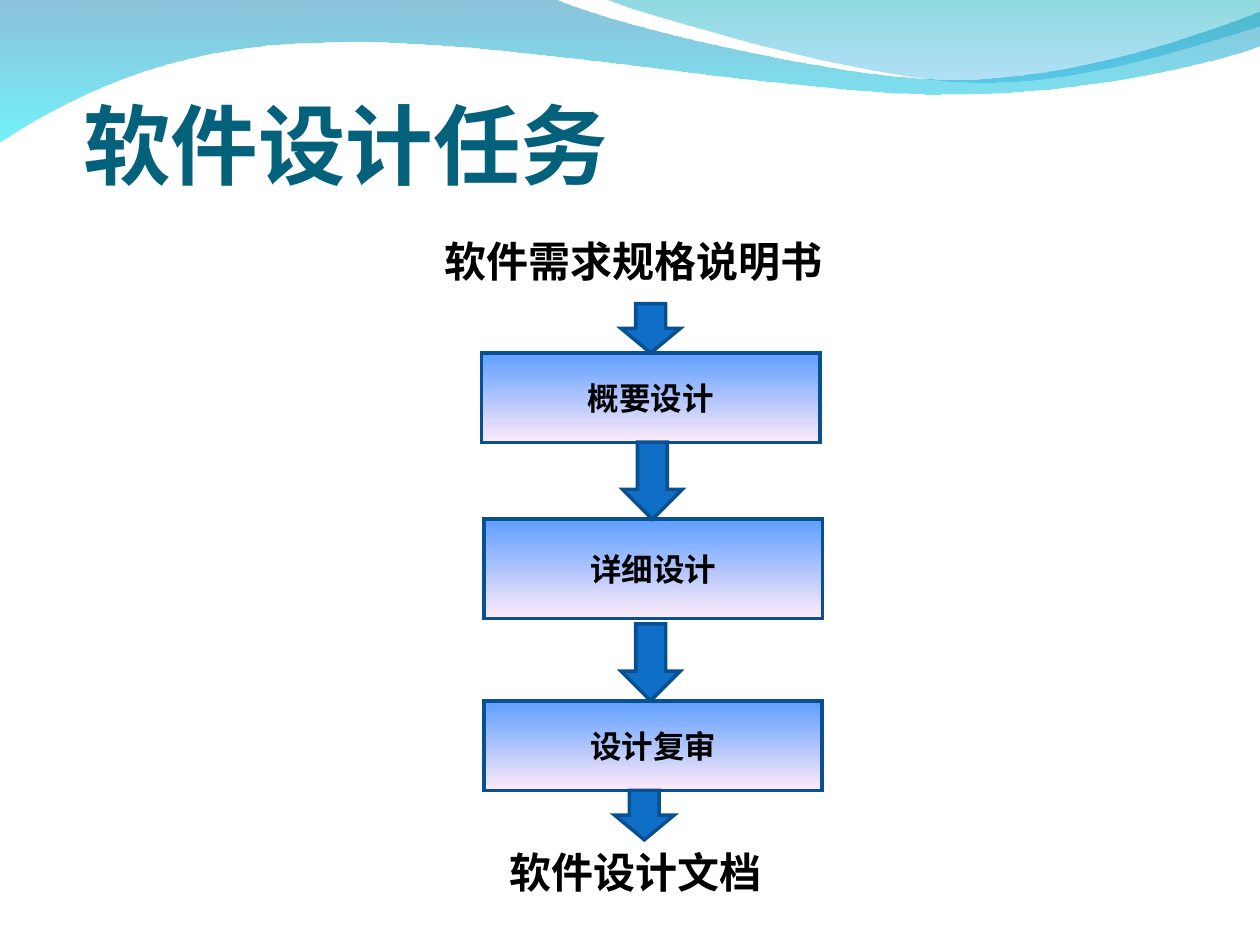
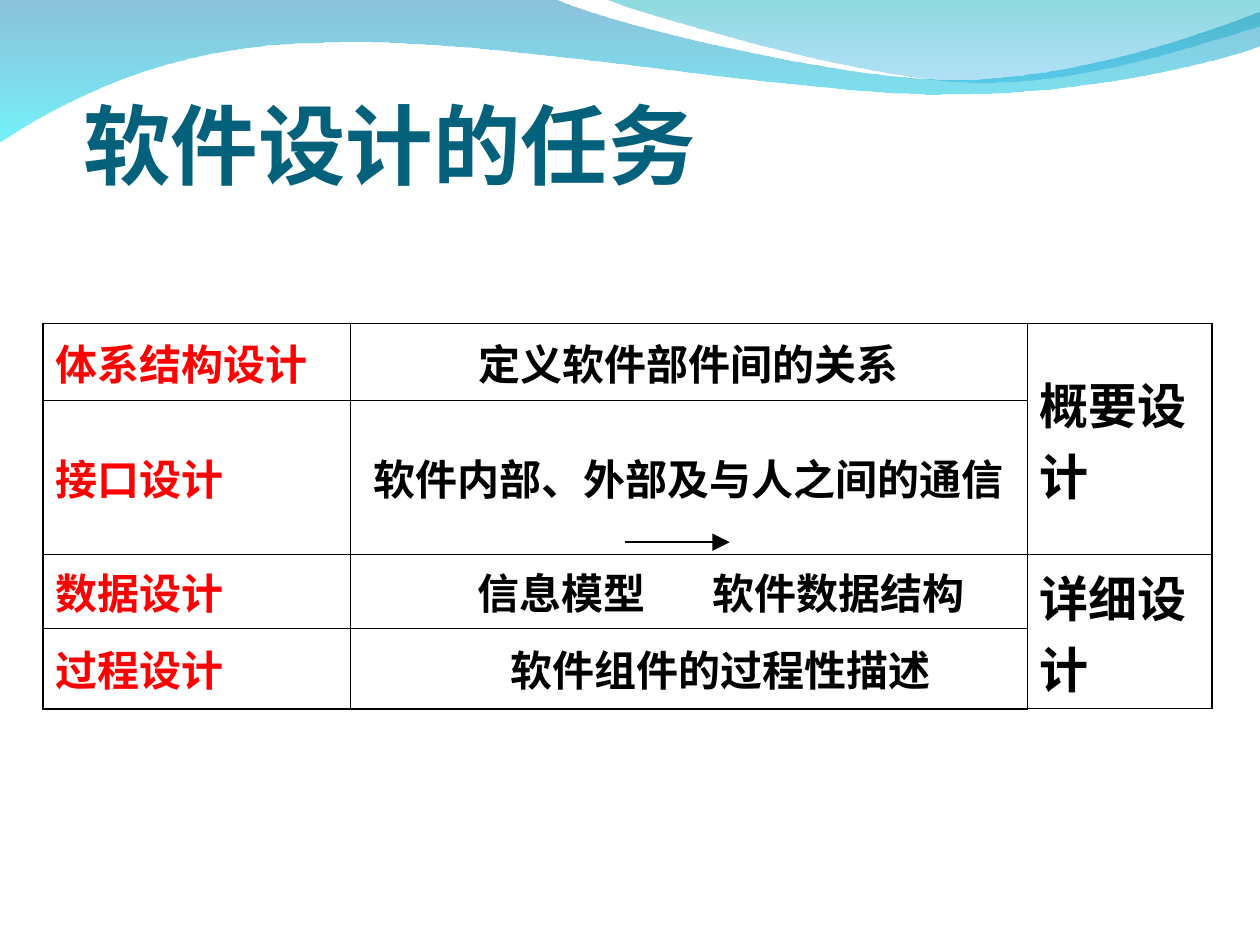
"""Builds two slides on the tasks of software design: a flow chart and a table."""
from lxml.etree import SubElement
from pptx import Presentation
from pptx.dml.color import RGBColor
from pptx.enum.shapes import MSO_CONNECTOR, MSO_SHAPE
from pptx.enum.text import MSO_ANCHOR, MSO_AUTO_SIZE, PP_ALIGN
from pptx.oxml.ns import qn
from pptx.util import Pt

SANS = "Noto Sans CJK SC"
BLACK, RED, TEAL = "000000", "FF0000", "04617B"
ARROW_BLUE, LINE_BLUE = "0F6FC6", "085091"
BOX_STOPS = [("5E9EFF", 100), ("FFEBFA", 100)]

SLIDE_WIDTH, SLIDE_HEIGHT = 720, 540
TITLE_BOX = (40.3, 25.9, 671.8, 90)

# One point draws a line, three points draw a Bézier curve.
BANDS = [
    {
        "start": (0, -0.7),
        "segments": [
            [(316.8, -0.7)],
            [(342.7, 12.2), (478.1, 45.4), (545.8, 45.4)],
            [(614.2, 45.4), (689.8, 18.7), (720, 6.5)],
            [(720.7, 25.9)],
            [(707.8, 31.7), (626.4, 54.7), (537.1, 54)],
            [(447.8, 54), (275, 20.2), (185, 24.5)],
            [(92.9, 25.2), (33.1, 59.8), (-0.7, 81.4)],
        ],
        "stops": [("0079AF", 45), ("00EBF8", 55)],
    },
    {
        "start": (344.9, -0.7),
        "segments": [
            [(366.5, 7.9), (491, 44.6), (553.7, 46.8)],
            [(616.3, 49.7), (691.9, 23), (720, 15.1)],
            [(720, 0)],
        ],
        "stops": [("00ADB6", 45), ("009BE5", 30)],
    },
]

FLOW_TITLE = "软件设计任务"
BOX_WIDTH, ARROW_WIDTH = 193.3, 34
STEPS = [
    {"text": "概要设计", "left": 275.2, "top": 201.7, "height": 51.2, "arrow": (354.8, 28.2)},
    {"text": "详细设计", "left": 276.6, "top": 296.7, "height": 56.9, "arrow": (355.8, 44)},
    {"text": "设计复审", "left": 276.5, "top": 400.5, "height": 51.2, "arrow": (354.8, 44)},
]
LAST_ARROW = (351.2, 28.2)
DOCUMENTS = [
    ("软件需求规格说明书", (247, 131, 250, 36)),
    ("软件设计文档", (284.2, 480.2, 168.5, 36)),
]

TABLE_TITLE = "软件设计的任务"
TABLE_LEFT, TABLE_TOP = 24.7, 184.8
COLUMN_WIDTHS = [175.6, 386.8, 105.6]
ROW_HEIGHTS = [44, 88, 42, 45.8]
TASKS = [
    ("体系结构设计", "定义软件部件间的关系", {}),
    ("接口设计", "软件内部、外部及与人之间的通信", {}),
    ("数据设计", "\t信息模型\t软件数据结构", {"align": PP_ALIGN.LEFT, "tabs": (65.3, 199.5)}),
    ("过程设计", "软件组件的过程性描述", {"margin_left": 43.2}),
]
PHASES = [("概要设计", 0, 1), ("详细设计", 2, 3)]
MODEL_ARROW = (357, 309.8, 417, 309.8)


def color(hex_string):
    return RGBColor.from_string(hex_string)


def points(*lengths):
    return [Pt(length) for length in lengths]


def put_text(frame, text, size=24, font=SANS, ink=BLACK, align=PP_ALIGN.LEFT,
             anchor=MSO_ANCHOR.TOP, line_spacing=None, tabs=()):
    frame.word_wrap = True
    frame.vertical_anchor = anchor
    paragraph = frame.paragraphs[0]
    paragraph.alignment = align
    paragraph.line_spacing = line_spacing
    if tabs:
        tab_list = SubElement(paragraph._p.get_or_add_pPr(), qn("a:tabLst"))
        for position in tabs:
            SubElement(tab_list, qn("a:tab"), pos=str(Pt(position)), algn="l")
    run = paragraph.add_run()
    run.text = text
    run.font.name, run.font.size, run.font.bold = font, Pt(size), True
    run.font.color.rgb = color(ink)
    SubElement(run.font._element, qn("a:ea"), typeface=SANS)


def fill_gradient(shape, stops):
    shape.fill.gradient()
    shape.fill.gradient_angle = 270
    for stop, (hex_string, _) in zip(shape.fill.gradient_stops, stops):
        stop.color.rgb = color(hex_string)
    for element, (_, opacity) in zip(shape.element.iter(qn("a:gs")), stops):
        if opacity < 100:
            SubElement(element[0], qn("a:alpha"), val=str(opacity * 1000))


def bend_lines(shape, segments):
    outline = next(shape.element.iter(qn("a:path")))
    lines = iter(outline.findall(qn("a:lnTo")))
    for segment in segments:
        corners = [next(lines) for _ in segment]
        if len(corners) == 3:
            curve = SubElement(outline, qn("a:cubicBezTo"))
            outline.replace(corners[0], curve)
            for corner in corners:
                curve.append(corner[0])
            for corner in corners[1:]:
                outline.remove(corner)


def move_bands_to_layout(slide, layout):
    for index, band in enumerate(BANDS):
        builder = slide.shapes.build_freeform(*points(*band["start"]))
        corners = [points(*corner) for segment in band["segments"] for corner in segment]
        builder.add_line_segments(corners, close=True)
        shape = builder.convert_to_shape()
        bend_lines(shape, band["segments"])
        shape.shadow.inherit = False
        shape.line.fill.background()
        fill_gradient(shape, band["stops"])
        layout.shapes.element.insert(2 + index, shape.element)


def add_titled_slide(presentation, layout, title):
    slide = presentation.slides.add_slide(layout)
    placeholder = slide.shapes.title
    placeholder.left, placeholder.top, placeholder.width, placeholder.height = points(*TITLE_BOX)
    put_text(placeholder.text_frame, title, size=50, ink=TEAL,
             anchor=MSO_ANCHOR.BOTTOM, line_spacing=1.5)
    placeholder.text_frame.auto_size = MSO_AUTO_SIZE.NONE
    return slide


def add_outlined_shape(slide, kind, *box):
    shape = slide.shapes.add_shape(kind, *points(*box))
    shape.shadow.inherit = False
    shape.line.color.rgb = color(LINE_BLUE)
    shape.line.width = Pt(2)
    SubElement(shape.line._get_or_add_ln(), qn("a:miter"), lim="800000")
    return shape


def draw_flow(slide):
    arrows = []
    for step in STEPS:
        box = add_outlined_shape(slide, MSO_SHAPE.RECTANGLE, step["left"], step["top"],
                                 BOX_WIDTH, step["height"])
        fill_gradient(box, BOX_STOPS)
        put_text(box.text_frame, step["text"], size=18, font="Vollkorn",
                 align=PP_ALIGN.CENTER, anchor=MSO_ANCHOR.MIDDLE)
        left, height = step["arrow"]
        arrows.append((left, step["top"] - height, height))
    left, height = LAST_ARROW
    arrows.append((left, STEPS[-1]["top"] + STEPS[-1]["height"], height))
    for left, top, height in arrows:
        arrow = add_outlined_shape(slide, MSO_SHAPE.DOWN_ARROW, left, top, ARROW_WIDTH, height)
        arrow.fill.solid()
        arrow.fill.fore_color.rgb = color(ARROW_BLUE)
    for text, box in DOCUMENTS:
        put_text(slide.shapes.add_textbox(*points(*box)).text_frame, text)


def set_borders(cell, thick_sides):
    cell.fill.background()
    properties = cell._tc.get_or_add_tcPr()
    for index, side in enumerate("LRTB"):
        width = Pt(1.08 if side in thick_sides else 0.45)
        border = SubElement(properties, qn(f"a:ln{side}"), w=str(width))
        SubElement(SubElement(border, qn("a:solidFill")), qn("a:srgbClr"), val=BLACK)
        properties.insert(index, border)


def fill_cell(cell, text, margin_left=7.2, **text_format):
    put_text(cell.text_frame, text, **text_format)
    cell.vertical_anchor = MSO_ANCHOR.MIDDLE
    cell.margin_left = Pt(margin_left)


def draw_task_table(slide):
    row_count, column_count = len(ROW_HEIGHTS), len(COLUMN_WIDTHS)
    table = slide.shapes.add_table(row_count, column_count, *points(
        TABLE_LEFT, TABLE_TOP, sum(COLUMN_WIDTHS), sum(ROW_HEIGHTS))).table
    table.first_row = table.horz_banding = False
    for column, width in zip(table.columns, COLUMN_WIDTHS):
        column.width = Pt(width)
    for row, height in zip(table.rows, ROW_HEIGHTS):
        row.height = Pt(height)
    for row in range(row_count):
        for column in range(column_count):
            edges = {"L": column == 0, "R": column == column_count - 1,
                     "T": row == 0, "B": row == row_count - 1}
            set_borders(table.cell(row, column), [side for side in edges if edges[side]])
    for row, (task, meaning, meaning_format) in enumerate(TASKS):
        fill_cell(table.cell(row, 0), task, ink=RED)
        fill_cell(table.cell(row, 1), meaning, **{"align": PP_ALIGN.CENTER, **meaning_format})
    for phase, first, last in PHASES:
        table.cell(first, 2).merge(table.cell(last, 2))
        fill_cell(table.cell(first, 2), phase, size=28, font="Karla")


def draw_model_arrow(slide):
    connector = slide.shapes.add_connector(MSO_CONNECTOR.STRAIGHT, *points(*MODEL_ARROW))
    connector.line.color.rgb = color(BLACK)
    connector.line.width = Pt(1.5)
    SubElement(connector.line._get_or_add_ln(), qn("a:tailEnd"),
               type="triangle", w="lg", len="lg")
    SubElement(connector.element.spPr, qn("a:effectLst"))


def main():
    presentation = Presentation()
    presentation.slide_width, presentation.slide_height = points(SLIDE_WIDTH, SLIDE_HEIGHT)
    layout = presentation.slide_layouts.get_by_name("Title Only")
    flow_slide = add_titled_slide(presentation, layout, FLOW_TITLE)
    move_bands_to_layout(flow_slide, layout)
    draw_flow(flow_slide)
    table_slide = add_titled_slide(presentation, layout, TABLE_TITLE)
    draw_task_table(table_slide)
    draw_model_arrow(table_slide)
    presentation.save("out.pptx")


if __name__ == "__main__":
    main()
